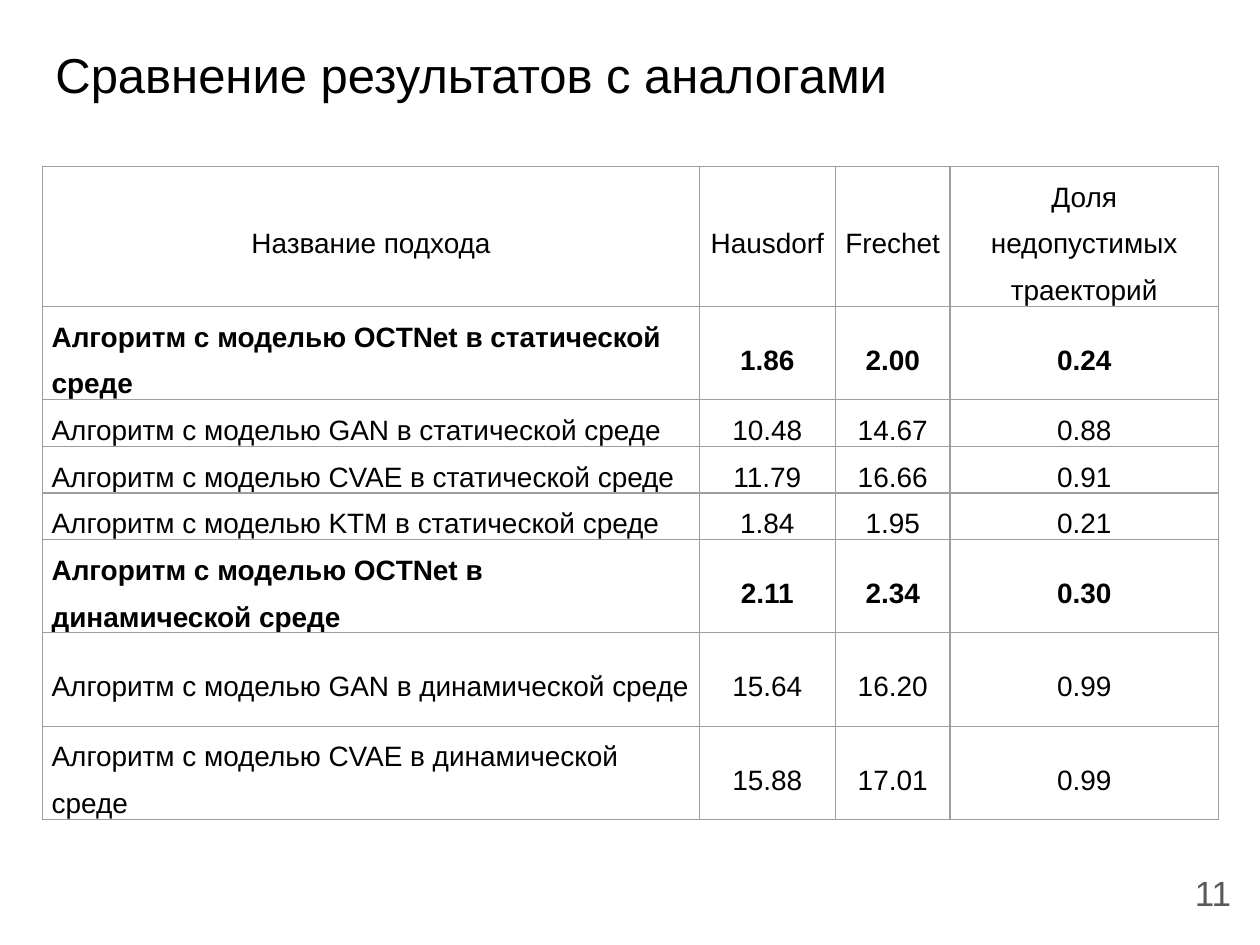
from lxml import etree
from pptx import Presentation
from pptx.dml.color import RGBColor
from pptx.enum import text
from pptx.oxml.ns import qn
from pptx.util import Inches, Pt

BLACK = RGBColor(0x00, 0x00, 0x00)
GREY = RGBColor(0x59, 0x59, 0x59)
BORDER = RGBColor(0x9E, 0x9E, 0x9E)
FONT = "Arial"
LEFT, CENTER, RIGHT = (text.PP_ALIGN.LEFT, text.PP_ALIGN.CENTER,
                       text.PP_ALIGN.RIGHT)
TOP, MIDDLE = text.MSO_ANCHOR.TOP, text.MSO_ANCHOR.MIDDLE

COLUMN_WIDTHS = (5.21, 1.08, 0.91, 2.13)
LINE_HEIGHT = 0.37
HEADER = ("Название подхода", "Hausdorf", "Frechet",
          "Доля недопустимых траекторий")
HEADER_LINES = 3
OWN_MODEL = "OCTNet"
# Model, environment, Hausdorf, Frechet, share of invalid paths, text lines
RESULTS = (
    (OWN_MODEL, "статической", "1.86", "2.00", "0.24", 2),
    ("GAN", "статической", "10.48", "14.67", "0.88", 1),
    ("CVAE", "статической", "11.79", "16.66", "0.91", 1),
    ("KTM", "статической", "1.84", "1.95", "0.21", 1),
    (OWN_MODEL, "динамической", "2.11", "2.34", "0.30", 2),
    ("GAN", "динамической", "15.64", "16.20", "0.99", 2),
    ("CVAE", "динамической", "15.88", "17.01", "0.99", 2),
)


def set_all(target, values):
    for name, value in values.items():
        setattr(target, name, value)


def write(paragraph, words, size, color=BLACK, bold=False, align=LEFT):
    paragraph.alignment = align
    run = paragraph.add_run()
    run.text = words
    set_all(run.font, {"name": FONT, "size": Pt(size), "bold": bold})
    run.font.color.rgb = color


def prepare_frame(frame, anchor):
    set_all(frame, {"word_wrap": True, "vertical_anchor": anchor,
                    "auto_size": text.MSO_AUTO_SIZE.NONE})
    for side in ("left", "top", "right", "bottom"):
        setattr(frame, f"margin_{side}", Inches(0.1))


def add_borders(cell):
    properties = cell._tc.get_or_add_tcPr()
    for index, side in enumerate(("lnL", "lnR", "lnT", "lnB")):
        line = etree.Element(qn(f"a:{side}"), w=str(Pt(0.75)))
        fill = etree.SubElement(line, qn("a:solidFill"))
        etree.SubElement(fill, qn("a:srgbClr"), val=str(BORDER))
        properties.insert(index, line)


def place_title(slide, left, top, width, height):
    title = slide.shapes.title
    set_all(title, {"left": left, "top": top,
                    "width": width, "height": height})
    prepare_frame(title.text_frame, TOP)
    write(title.text_frame.paragraphs[0], "Сравнение результатов с аналогами", 28)


def place_results(slide, left, top, width, height):
    rows = [(HEADER, HEADER_LINES)]
    for model, environment, *scores, lines in RESULTS:
        approach = f"Алгоритм с моделью {model} в {environment} среде"
        rows.append(((approach, *scores), lines))

    table = slide.shapes.add_table(len(rows), len(HEADER),
                                   left, top, width, height).table
    set_all(table, {"first_row": False, "horz_banding": False})
    for column, column_width in zip(table.columns, COLUMN_WIDTHS):
        column.width = Inches(column_width)

    for row_index, (values, lines) in enumerate(rows):
        table.rows[row_index].height = Inches(LINE_HEIGHT * lines)
        for column_index, value in enumerate(values):
            cell = table.cell(row_index, column_index)
            set_all(cell, {"vertical_anchor": MIDDLE,
                           "margin_left": Inches(0.07),
                           "margin_right": Inches(0.07),
                           "margin_top": 0, "margin_bottom": 0})
            cell.fill.background()
            add_borders(cell)
            paragraph = cell.text_frame.paragraphs[0]
            paragraph.line_spacing = 1.5
            is_approach = row_index > 0 and column_index == 0
            write(paragraph, value, 16, bold=OWN_MODEL in values[0],
                  align=LEFT if is_approach else CENTER)


def place_page_number(slide, left, top, width, height):
    frame = slide.shapes.add_textbox(left, top, width, height).text_frame
    prepare_frame(frame, MIDDLE)
    write(frame.paragraphs[0], "11", 20, color=GREY, align=RIGHT)


def main():
    deck = Presentation()
    set_all(deck, {"slide_width": Inches(10), "slide_height": Inches(7.5)})
    slide = deck.slides.add_slide(deck.slide_layouts[5])  # title only

    place_title(slide, Inches(0.34), Inches(0.25), Inches(9.32), Inches(0.83))
    place_page_number(slide, Inches(9.27), Inches(6.8), Inches(0.6), Inches(0.57))
    place_results(slide, Inches(0.34), Inches(1.32), Inches(9.32), Inches(5.21))

    deck.save("out.pptx")


if __name__ == "__main__":
    main()
